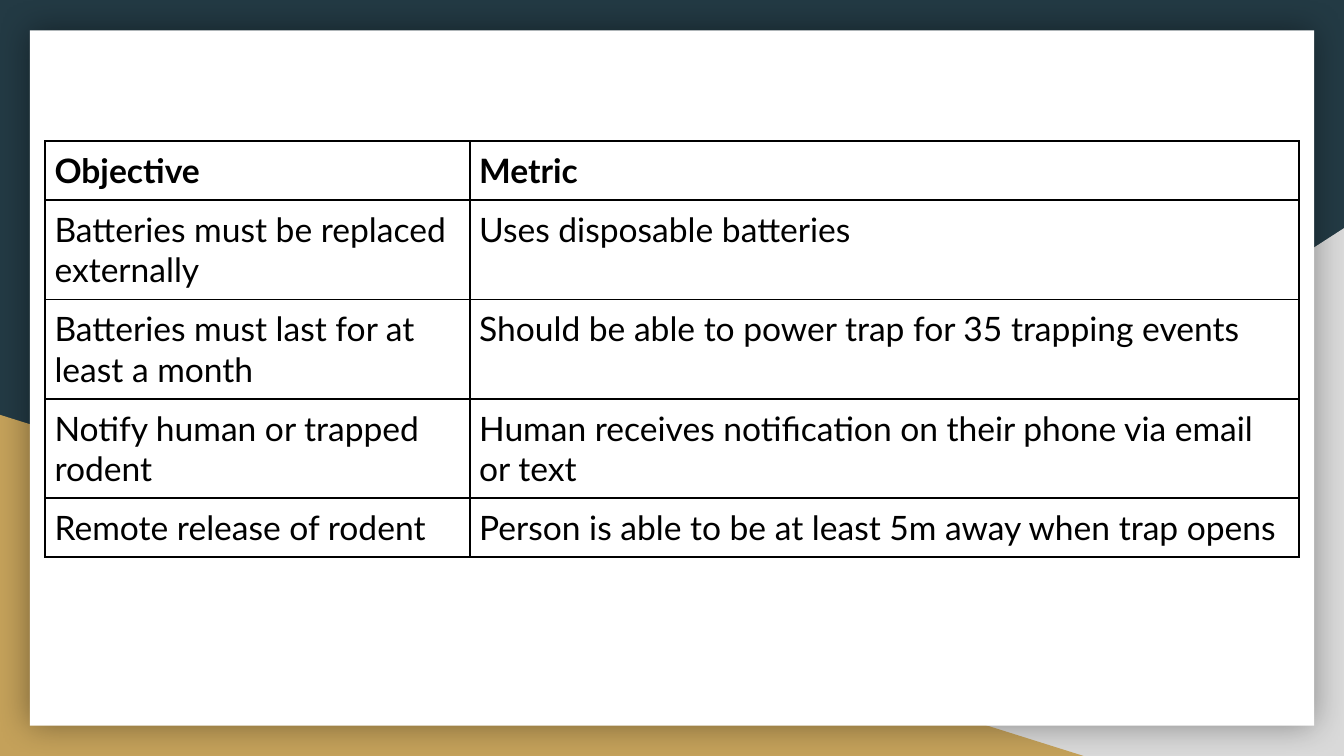
from lxml.etree import SubElement
from pptx import Presentation
from pptx.dml.color import RGBColor
from pptx.enum.shapes import MSO_SHAPE
from pptx.oxml.ns import qn
from pptx.util import Pt

COLORS = {
    "background": "233A44",
    "grey": "D9D9D9",
    "gold": "C4A15A",
    "panel": "FFFFFF",
    "ink": "000000",
}
FONT = "Lato"
COLUMN_WIDTHS = (227.5, 444.25)
ROW_HEIGHTS = (31.6, 53.2, 53.2, 53.2, 31.6)
ROWS = (
    ("Objective", "Metric"),
    ("Batteries must be replaced externally", "Uses disposable batteries"),
    ("Batteries must last for at least a month",
     "Should be able to power trap for 35 trapping events"),
    ("Notify human or trapped rodent",
     "Human receives notification on their phone via email or text"),
    ("Remote release of rodent",
     "Person is able to be at least 5m away when trap opens"),
)


def rgb(name):
    return RGBColor.from_string(COLORS[name])


def add_solid_color(parent, name, alpha=None):
    """Append an a:srgbClr, with optional opacity in percent."""
    color = SubElement(parent, qn("a:srgbClr"), val=COLORS[name])
    if alpha is not None:
        SubElement(color, qn("a:alpha"), val=str(alpha * 1000))


def add_block(slide, kind, left, top, width, height, color, flip=False):
    sp = slide.shapes.add_shape(kind, Pt(left), Pt(top), Pt(width), Pt(height))
    sp.shadow.inherit = False
    sp.fill.solid()
    sp.fill.fore_color.rgb = rgb(color)
    sp.line.fill.background()
    if flip:
        sp.element.spPr.find(qn("a:xfrm")).set("flipH", "1")
    return sp


def add_glow_shadow(sp, blur, alpha):
    """Give the shape an even shadow on all sides."""
    effects = sp.element.spPr.find(qn("a:effectLst"))
    shadow = SubElement(effects, qn("a:outerShdw"), blurRad=str(Pt(blur)),
                        dist="0", dir="0", algn="ctr", rotWithShape="0")
    add_solid_color(shadow, "ink", alpha)


def add_text(tf, text, size=18, color="ink", bold=False):
    r = tf.paragraphs[0].add_run()
    r.text = text
    r.font.name = FONT
    r.font.size = Pt(size)
    r.font.bold = bold
    r.font.color.rgb = rgb(color)


def add_borders(cell, width=1):
    tc_pr = cell._tc.get_or_add_tcPr()
    for side in ("lnL", "lnR", "lnT", "lnB"):
        line = SubElement(tc_pr, qn(f"a:{side}"), w=str(Pt(width)))
        add_solid_color(SubElement(line, qn("a:solidFill")), "ink")


def add_objectives_table(slide, left, top):
    frame = slide.shapes.add_table(
        len(ROWS), len(COLUMN_WIDTHS), Pt(left), Pt(top),
        Pt(sum(COLUMN_WIDTHS)), Pt(sum(ROW_HEIGHTS)))
    table = frame.table
    table.horz_banding = False
    for column, width in zip(table.columns, COLUMN_WIDTHS):
        column.width = Pt(width)
    for i, (texts, height) in enumerate(zip(ROWS, ROW_HEIGHTS)):
        table.rows[i].height = Pt(height)
        for j, text in enumerate(texts):
            cell = table.cell(i, j)
            cell.margin_left = cell.margin_right = Pt(5)
            cell.margin_top = cell.margin_bottom = Pt(5)
            add_borders(cell)
            cell.fill.background()
            add_text(cell.text_frame, text, bold=i == 0)


def main():
    prs = Presentation()
    prs.slide_width, prs.slide_height = Pt(720), Pt(405)
    slide = prs.slides.add_slide(prs.slide_layouts[6])
    slide.background.fill.solid()
    slide.background.fill.fore_color.rgb = rgb("background")

    triangle = MSO_SHAPE.RIGHT_TRIANGLE
    add_block(slide, triangle, 282, 122.25, 438, 282.75, "grey", flip=True)
    add_block(slide, triangle, 0, 222.25, 580.5, 182.75, "gold")
    panel = add_block(slide, MSO_SHAPE.RECTANGLE, 16, 16.25, 688, 372.5, "panel")
    add_glow_shadow(panel, blur=18, alpha=40)
    add_objectives_table(slide, 24.25, 75.6)

    prs.save("out.pptx")


if __name__ == "__main__":
    main()
